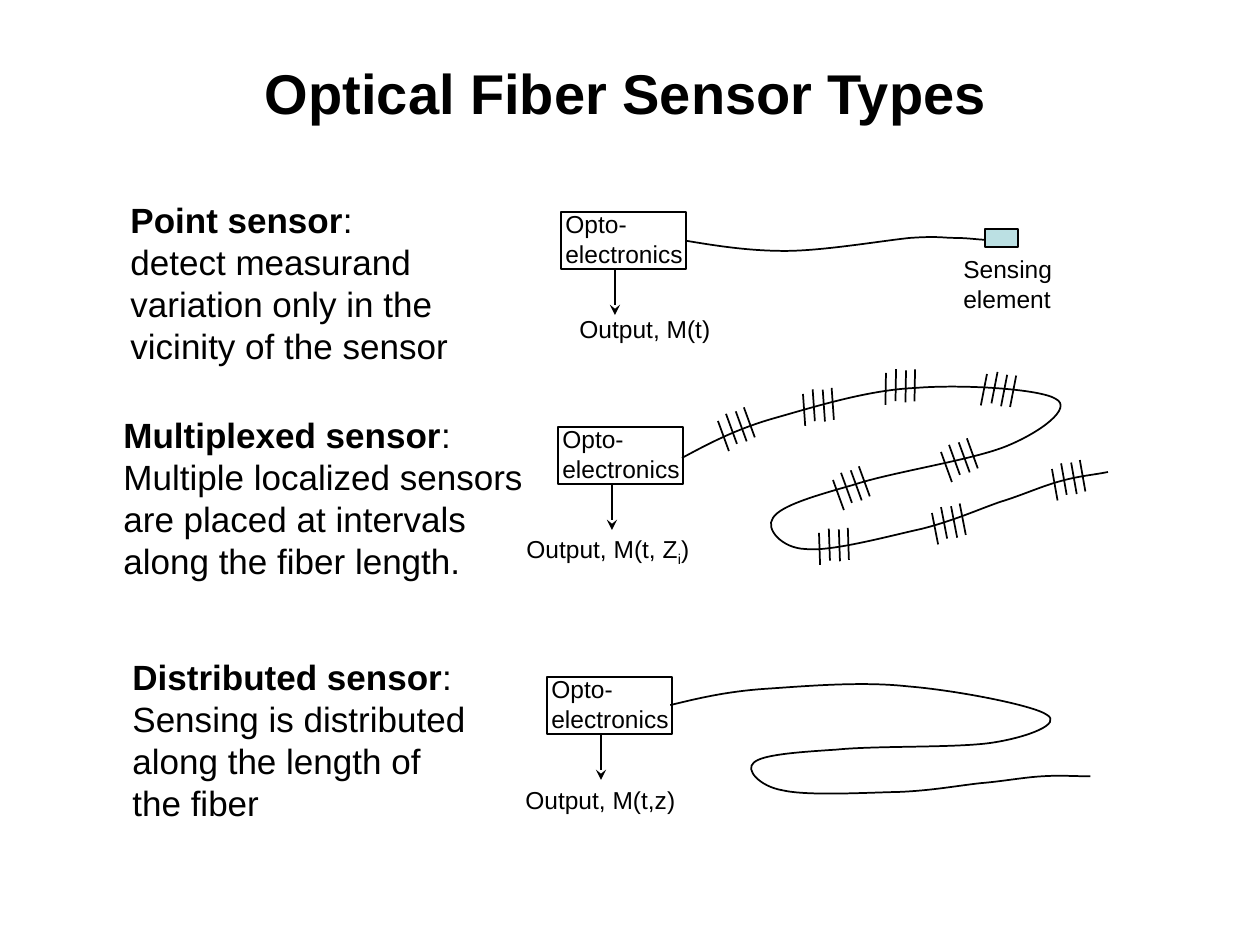
import math

import pptx
import pptx.dml.color
import pptx.enum.shapes
import pptx.enum.text
import pptx.oxml.ns
import pptx.util
from lxml import etree

PX = 914400 / 126
BLACK = "000000"
TITLE = {"name": "Arial", "size": pptx.util.Pt(32), "bold": True}
HEADING = {"name": "Arial", "size": pptx.util.Pt(20), "bold": True}
BODY = {**HEADING, "bold": False}
LABEL = {"name": "Arial", "size": pptx.util.Pt(14), "bold": False}

# Bezier points: a start, then two handles and an end for each piece
LEAD = [(0, 5), (30, 10), (62, 15), (98, 15), (136, 15), (194, 5), (223, 2),
        (252, 0), (256, 2), (268, 2), (282, 2), (292, 4), (302, 4)]
LOOP = [(0, 74), (26, 60), (54, 45), (93, 34), (132, 23), (186, 6), (233, 4),
        (280, 0), (359, 5), (374, 15), (391, 24), (359, 48), (325, 62),
        (291, 76), (210, 88), (171, 101), (132, 112), (98, 122), (91, 134),
        (83, 145), (100, 164), (123, 165), (149, 168), (207, 152), (239, 145),
        (271, 137), (295, 126), (318, 118), (341, 111), (360, 102), (379, 97),
        (397, 92), (411, 91), (426, 88)]

# Gratings: left, top and tilt in degrees; every one has the same four marks
GRATINGS = [(160, -6, 20), (245, -33, 4), (328, -54, -1), (429, -53, -11),
            (383, 25, 20), (275, 53, 20), (261, 106, 2), (374, 86, 11),
            (494, 42, 10)]
MARKS = [(0, 0), (10, -4), (20, -3), (29, -4)]
MARK_LENGTH = 32


def emu(*lengths):
    return [pptx.util.Emu(round(length * PX)) for length in lengths]


def color(hex_value):
    return pptx.dml.color.RGBColor.from_string(hex_value)


def outline(item):
    item.line.color.rgb = color(BLACK)
    item.line.width = pptx.util.Pt(1)


def add_text(slide, box, paragraphs, wrap=True, grow=True):
    """Each paragraph is a list of (text, format) runs."""
    frame = slide.shapes.add_textbox(*emu(*box)).text_frame
    frame.word_wrap = wrap
    if grow:
        frame.auto_size = pptx.enum.text.MSO_AUTO_SIZE.SHAPE_TO_FIT_TEXT
    for index, runs in enumerate(paragraphs):
        paragraph = frame.add_paragraph() if index else frame.paragraphs[0]
        for text, style in runs:
            run = paragraph.add_run()
            run.text = text
            run.font.color.rgb = color(BLACK)
            for key, value in style.items():
                setattr(run.font, key, value)
    return frame


def add_rectangle(slide, box, fill=None):
    rectangle = slide.shapes.add_shape(
        pptx.enum.shapes.MSO_SHAPE.RECTANGLE, *emu(*box))
    rectangle.shadow.inherit = False
    if fill:
        rectangle.fill.solid()
        rectangle.fill.fore_color.rgb = color(fill)
    else:
        rectangle.fill.background()
    outline(rectangle)


def add_line(slide, start, end, arrow=False):
    line = slide.shapes.add_connector(
        pptx.enum.shapes.MSO_CONNECTOR.STRAIGHT, *emu(*start, *end))
    outline(line)
    properties = line._element.spPr
    if arrow:
        head = etree.SubElement(properties.get_or_add_ln(),
                                pptx.oxml.ns.qn("a:tailEnd"))
        head.set("type", "stealth")
    etree.SubElement(properties, pptx.oxml.ns.qn("a:effectLst"))


def add_fiber(slide, left, top, points):
    builder = slide.shapes.build_freeform(*points[0], scale=PX)
    builder.add_line_segments(points[1:], close=False)
    fiber = builder.convert_to_shape(*emu(left, top))
    fiber.shadow.inherit = False
    fiber.fill.background()
    outline(fiber)
    # Turn every three straight segments into one cubic curve
    segments = fiber._element.xpath(".//a:lnTo")
    for first in range(0, len(segments), 3):
        curve = etree.Element(pptx.oxml.ns.qn("a:cubicBezTo"))
        segments[first].addprevious(curve)
        for segment in segments[first:first + 3]:
            curve.append(segment[0])
            segment.getparent().remove(segment)
    return fiber


def add_grating(slide, left, top, tilt):
    sine, cosine = math.sin(math.radians(tilt)), math.cos(math.radians(tilt))
    for across, down in MARKS:
        x = left + across * cosine + down * sine
        y = top + down * cosine - across * sine
        add_line(slide, (x, y),
                 (x + MARK_LENGTH * sine, y + MARK_LENGTH * cosine))


def add_optoelectronics(slide, left, top, output_box, output):
    add_rectangle(slide, (left, top, 125, 57))
    add_text(slide, (left - 8, top - 9, 164, 72), [[("Opto-electronics", LABEL)]])
    add_line(slide, (left + 54, top + 57), (left + 54, top + 103), arrow=True)
    x, y, width, height = output_box
    frame = add_text(slide, (left + x, top + y, width, height),
                     [[(text, LABEL) for text in output]], wrap=False)
    return frame.paragraphs[0].runs


def add_point_sensor(slide, left, top):
    add_optoelectronics(slide, left, top, (6, 96, 156, 43), ["Output, M(t)"])
    add_fiber(slide, left + 126, top + 24, LEAD)
    add_rectangle(slide, (left + 424, top + 17, 33, 18), "BBE0E3")
    add_text(slide, (left + 390, top + 36, 129, 72), [[("Sensing element", LABEL)]])


def add_multiplexed_sensor(slide, left, top):
    output = add_optoelectronics(slide, left, top, (-44, 101, 188, 47),
                                 ["Output, M(t, Z", "i", ")"])
    output[1]._r.get_or_add_rPr().set("baseline", "-25000")
    add_fiber(slide, left + 124, top - 43, LOOP)
    for x, y, tilt in GRATINGS:
        add_grating(slide, left + x, top + y, tilt)


def add_distributed_sensor(slide, left, top):
    add_optoelectronics(slide, left, top, (-34, 102, 175, 43), ["Output, M(t,z)"])
    fiber = add_fiber(slide, left + 120, top + 3, LOOP)
    fiber.height = emu(126)[0]
    fiber.rotation = 8.2


def main():
    presentation = pptx.Presentation()
    presentation.slide_width, presentation.slide_height = emu(1260, 945)
    slide = presentation.slides.add_slide(presentation.slide_layouts[6])

    # Title
    title = add_text(slide, (59, 48, 1134, 88),
                     [[("Optical Fiber Sensor Types", TITLE)]], grow=False)
    title.vertical_anchor = pptx.enum.text.MSO_ANCHOR.MIDDLE
    title.paragraphs[0].alignment = pptx.enum.text.PP_ALIGN.CENTER

    # Descriptions
    add_text(slide, (118, 192, 345, 181), [
        [("Point sensor", HEADING),
         (": detect measurand variation only in the vicinity of the sensor", BODY)]])
    add_text(slide, (111, 407, 430, 181), [
        [("Multiplexed sensor", HEADING), (":", BODY)],
        [("Multiple localized sensors are placed at intervals "
          "along the fiber length.", BODY)]])
    add_text(slide, (120, 649, 360, 181), [
        [("Distributed sensor", HEADING), (":", BODY)],
        [("Sensing is distributed along the length of the fiber", BODY)]])

    # Diagrams
    add_point_sensor(slide, 561, 212)
    add_multiplexed_sensor(slide, 558, 427)
    add_distributed_sensor(slide, 547, 677)

    presentation.save("out.pptx")


if __name__ == "__main__":
    main()
